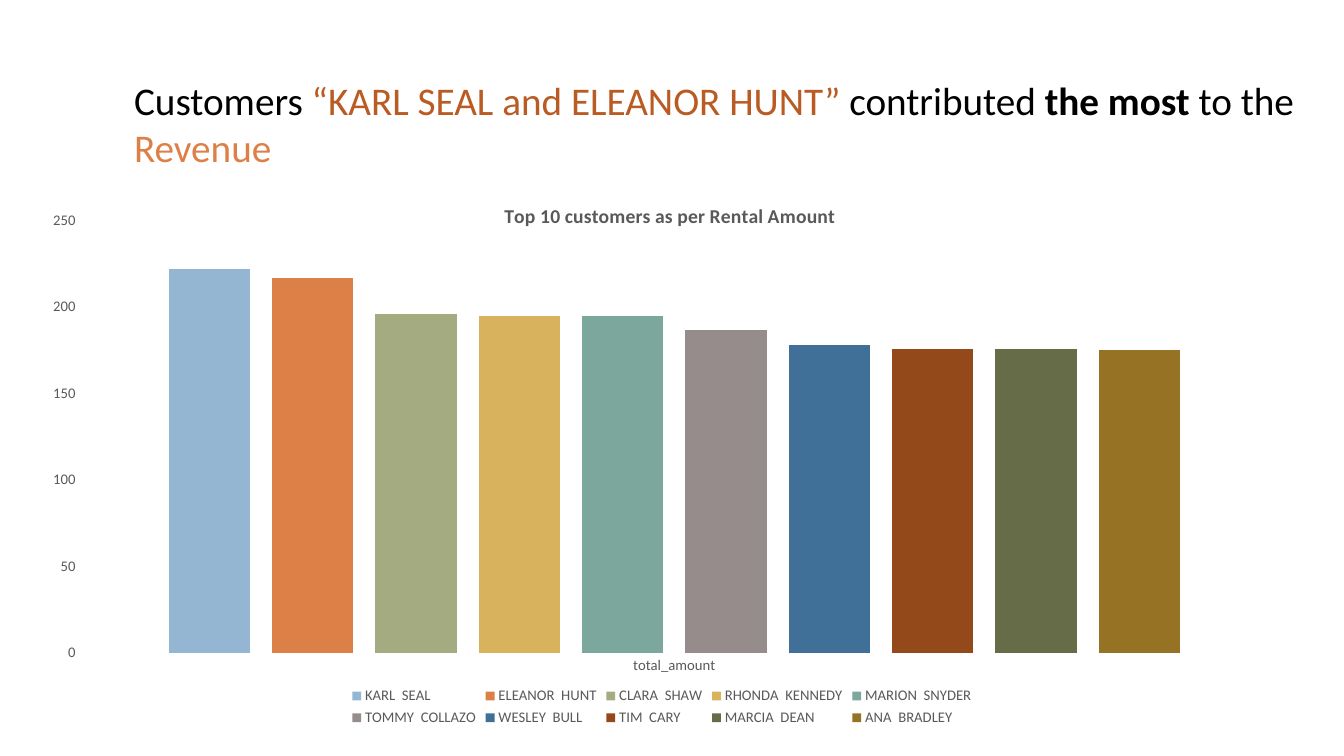
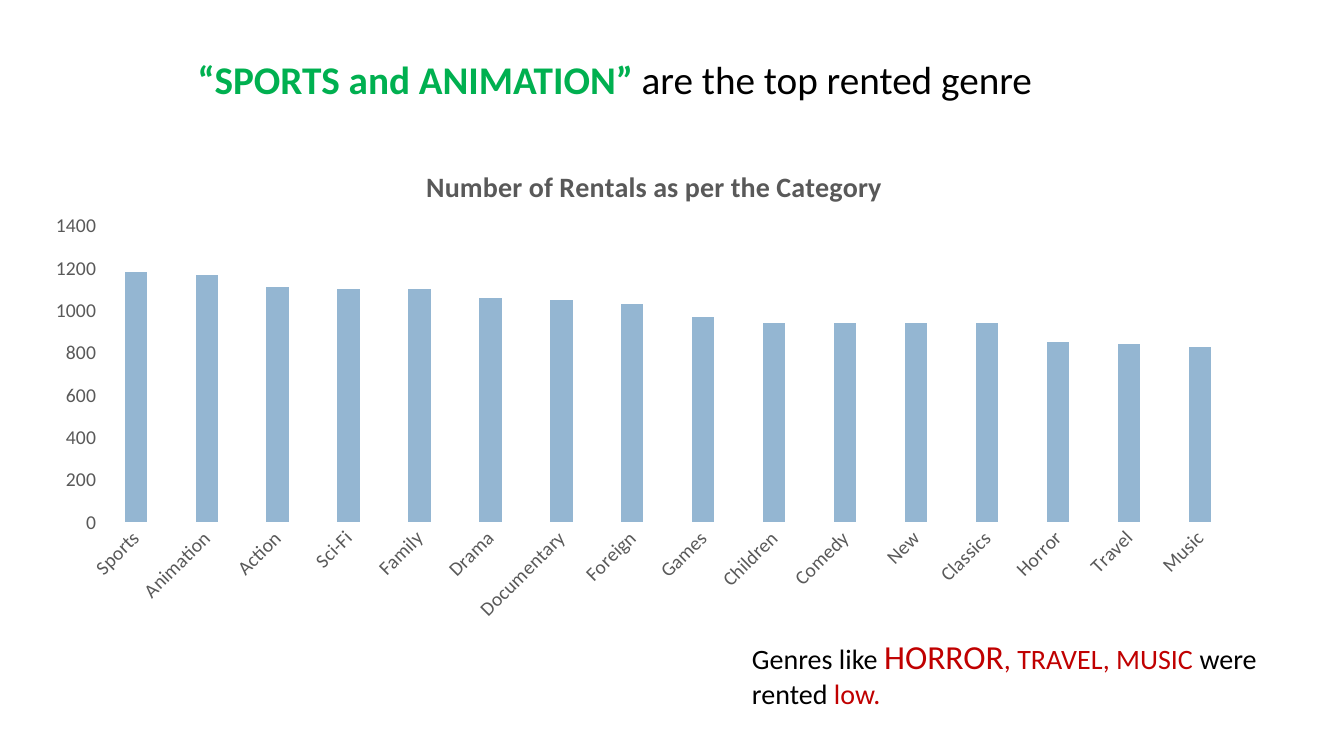
from lxml import etree
from pptx import Presentation
from pptx.chart.data import CategoryChartData
from pptx.dml.color import RGBColor
from pptx.enum import chart as charts, text
from pptx.oxml import ns
from pptx.util import Inches, Pt

FONT = "Calibri"
BLACK = RGBColor(0x00, 0x00, 0x00)
GREY = RGBColor(0x59, 0x59, 0x59)
RUST = RGBColor(0xB9, 0x5B, 0x22)
ORANGE = RGBColor(0xDD, 0x80, 0x47)
GREEN = RGBColor(0x00, 0xB0, 0x50)
RED = RGBColor(0xC0, 0x00, 0x00)
BLUE = RGBColor(0x94, 0xB6, 0xD2)
BAR_COLORS = [BLUE, ORANGE] + [RGBColor.from_string(code) for code in (
    "A5AB81", "D8B25C", "7BA79D", "968C8C", "407097", "94491B", "676C48", "957224")]

TITLE_SIZE = 28
TITLE_ONLY = 5

CUSTOMERS = {
    "KARL  SEAL": 222, "ELEANOR  HUNT": 217, "CLARA  SHAW": 196,
    "RHONDA  KENNEDY": 195, "MARION  SNYDER": 195, "TOMMY  COLLAZO": 187,
    "WESLEY  BULL": 178, "TIM  CARY": 176, "MARCIA  DEAN": 176, "ANA  BRADLEY": 175,
}
GENRES = {
    "Sports": 1180, "Animation": 1170, "Action": 1110, "Sci-Fi": 1100,
    "Family": 1100, "Drama": 1060, "Documentary": 1050, "Foreign": 1030,
    "Games": 970, "Children": 940, "Comedy": 940, "New": 940,
    "Classics": 940, "Horror": 850, "Travel": 840, "Music": 830,
}


# Text
def set_attributes(target, values):
    for name, value in values.items():
        setattr(target, name, value)


def style_font(font, size, color, bold=False):
    set_attributes(font, {"name": FONT, "size": Pt(size), "bold": bold})
    font.color.rgb = color


def write_runs(frame, size, runs):
    """Each run is (wording, colour) plus optional font values."""
    set_attributes(frame, {
        "word_wrap": True,
        "auto_size": text.MSO_AUTO_SIZE.NONE,
        "vertical_anchor": text.MSO_ANCHOR.TOP,
    })
    paragraph = frame.paragraphs[0]
    paragraph.alignment = text.PP_ALIGN.LEFT
    for wording, color, *extra in runs:
        run = paragraph.add_run()
        run.text = wording
        style_font(run.font, size, color)
        set_attributes(run.font, extra[0] if extra else {})


def add_titled_slide(deck, box, runs):
    slide = deck.slides.add_slide(deck.slide_layouts[TITLE_ONLY])
    title = slide.shapes.title
    sides = ("left", "top", "width", "height")
    set_attributes(title, dict(zip(sides, map(Inches, box))))
    write_runs(title.text_frame, TITLE_SIZE, runs)
    return slide


def add_note(slide, box, size, runs):
    note = slide.shapes.add_textbox(*map(Inches, box))
    write_runs(note.text_frame, size, runs)


# Charts
def set_layout(parent, **fractions):
    """Place a chart part by fractions of the chart area."""
    layout = parent.find(ns.qn("c:layout"))
    if layout is None:
        layout = etree.Element(ns.qn("c:layout"))
        before = parent.find(ns.qn("c:tx"))
        parent.insert(0 if before is None else parent.index(before) + 1, layout)
    for child in list(layout):
        layout.remove(child)
    manual = etree.SubElement(layout, ns.qn("c:manualLayout"))
    modes = {"xMode": "edge", "yMode": "edge"}
    if "w" in fractions:
        modes = {"layoutTarget": "inner", **modes}
    for tag, value in {**modes, **fractions}.items():
        etree.SubElement(manual, ns.qn("c:" + tag)).set("val", str(value))


def style_axis(axis, size):
    set_attributes(axis, {
        "has_major_gridlines": False,
        "major_tick_mark": charts.XL_TICK_MARK.NONE,
        "minor_tick_mark": charts.XL_TICK_MARK.NONE,
    })
    axis.format.line.fill.background()
    style_font(axis.tick_labels.font, size, GREY)


def add_column_chart(slide, box, categories, series, heading, sizes,
                     heading_at, plot_at, top, step):
    heading_size, label_size = sizes
    data = CategoryChartData()
    data.categories = categories
    for name, values in series.items():
        data.add_series(name, values)
    chart = slide.shapes.add_chart(
        charts.XL_CHART_TYPE.COLUMN_CLUSTERED, *map(Inches, box), data).chart
    style_font(chart.font, label_size, BLACK)

    # Heading
    chart.has_title = True
    frame = chart.chart_title.text_frame
    frame.text = heading
    style_font(frame.paragraphs[0].runs[0].font, heading_size, GREY, True)
    x, y = heading_at
    set_layout(chart.chart_title._element, x=x, y=y)

    # Columns
    plot = chart.plots[0]
    set_attributes(plot, {"gap_width": 219, "overlap": -27, "vary_by_categories": False})
    for column, color in zip(plot.series, BAR_COLORS):
        column.format.fill.solid()
        column.format.fill.fore_color.rgb = color
    set_layout(chart._chartSpace.chart.plotArea, **dict(zip("xywh", plot_at)))

    # Axes and legend
    for axis in (chart.category_axis, chart.value_axis):
        style_axis(axis, label_size)
    set_attributes(chart.value_axis, {
        "minimum_scale": 0, "maximum_scale": top, "major_unit": step})
    chart.has_legend = len(series) > 1
    if chart.has_legend:
        set_attributes(chart.legend, {
            "position": charts.XL_LEGEND_POSITION.BOTTOM, "include_in_layout": False})
        style_font(chart.legend.font, label_size, GREY)
    return chart


def slant_labels(axis, degrees):
    body = axis._element.find(ns.qn("c:txPr")).find(ns.qn("a:bodyPr"))
    body.set("rot", str(degrees * 60000))
    body.set("vert", "horz")


# Slides
def add_customers_slide(deck):
    slide = add_titled_slide(deck, (1.23, 0.71, 11.88, 1.04), [
        ("Customers ", BLACK),
        ("“KARL SEAL and ELEANOR HUNT” ", RUST),
        ("contributed ", BLACK),
        ("the most", BLACK, {"bold": True}),
        (" to the ", BLACK),
        ("Revenue", ORANGE),
    ])
    add_column_chart(
        slide, (0.42, 1.75, 12.29, 5.5), ["total_amount"],
        {name: [amount] for name, amount in CUSTOMERS.items()},
        "Top 10 customers as per Rental Amount", sizes=(14, 10.5),
        heading_at=(0.37, 0.04), plot_at=(0.03, 0.08, 0.96, 0.78), top=250, step=50)


def add_genres_slide(deck):
    slide = add_titled_slide(deck, (1.86, 0.5, 9.61, 0.57), [
        ("“SPORTS and ANIMATION” ", GREEN, {"bold": True}),
        ("are the top rented genre", BLACK),
    ])
    chart = add_column_chart(
        slide, (0.26, 1.36, 12.24, 4.9), list(GENRES),
        {"Series 1": list(GENRES.values())},
        "Number of Rentals as per the Category", sizes=(20, 14),
        heading_at=(0.32, 0.05), plot_at=(0.06, 0.18, 0.92, 0.6), top=1400, step=200)
    slant_labels(chart.category_axis, -45)
    add_note(slide, (7.36, 6.26, 5.6, 0.84), 20, [
        ("Genres like ", BLACK),
        ("HORROR", RED, {"size": Pt(24)}),
        (", TRAVEL, MUSIC", RED),
        (" were rented ", BLACK),
        ("low.", RED),
    ])


def main():
    deck = Presentation()
    set_attributes(deck, {"slide_width": Inches(13.33), "slide_height": Inches(7.5)})
    add_customers_slide(deck)
    add_genres_slide(deck)
    deck.save("out.pptx")


if __name__ == "__main__":
    main()
